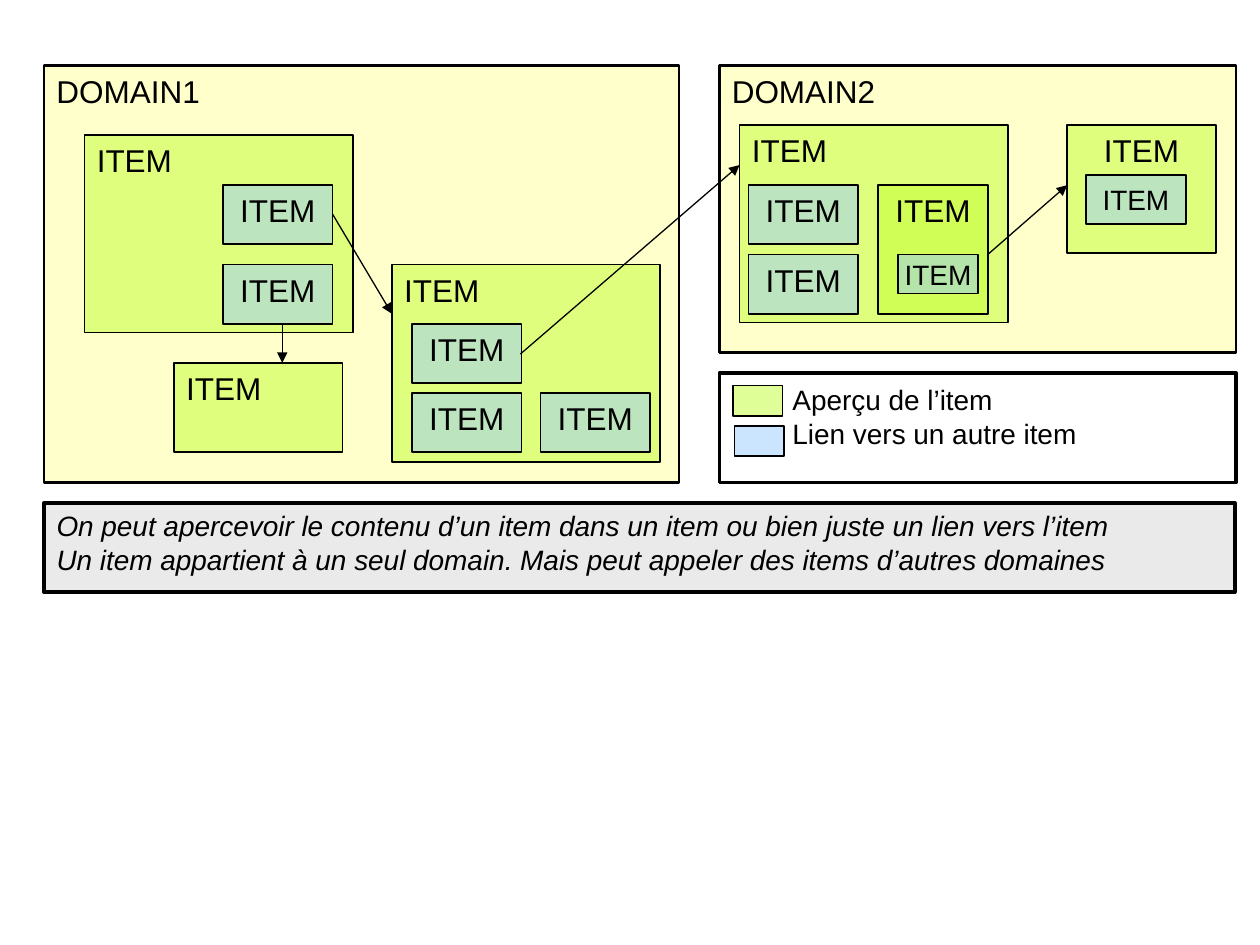
from pptx import Presentation
from pptx.dml.color import RGBColor
from pptx.enum.shapes import MSO_CONNECTOR as Connector, MSO_SHAPE as Shape
from pptx.enum.text import MSO_ANCHOR as Anchor, PP_ALIGN as Align
from pptx.oxml.ns import qn
from pptx.util import Inches, Pt
from lxml.etree import SubElement

COLORS = {
    "domain": "FFFF99",
    "item": "C3FE30",
    "link": "99CCFF",
    "legend": "FFFFFF",
    "note": "EAEAEA",
    "ink": "000000",
}


class DomainMap:
    """Draws domains, items and links on one slide in a shared style."""

    font_name = "Arial"

    def __init__(self, slide):
        self.slide = slide

    def color(self, key):
        return RGBColor.from_string(COLORS[key])

    def box(self, bounds, fill, line=1, opacity=50):
        box = self.slide.shapes.add_shape(Shape.RECTANGLE, *map(Inches, bounds))
        box.shadow.inherit = False
        box.fill.solid()
        box.fill.fore_color.rgb = self.color(fill)
        if opacity < 100:
            srgb = box._element.spPr.find(qn("a:solidFill")).find(qn("a:srgbClr"))
            SubElement(srgb, qn("a:alpha"), val=str(opacity * 1000))
        box.line.color.rgb = self.color("ink")
        box.line.width = Pt(line)
        return box

    def label(self, box, lines, size=18, align=Align.LEFT, anchor=Anchor.TOP,
              margins=(0.1, 0.05), italic=False):
        frame = box.text_frame
        frame.word_wrap = True
        frame.vertical_anchor = anchor
        frame.margin_left = frame.margin_right = Inches(margins[0])
        frame.margin_top = frame.margin_bottom = Inches(margins[1])
        frame.text = "\n".join(lines)
        for paragraph in frame.paragraphs:
            paragraph.alignment = align
            paragraph.font.name = self.font_name
            paragraph.font.size = Pt(size)
            paragraph.font.italic = italic
            paragraph.font.color.rgb = self.color("ink")

    def domain(self, name, bounds):
        self.label(self.box(bounds, "domain", line=1.5), [name])

    def item(self, left, top, width=2.13, height=1.57, align=Align.LEFT):
        self.label(self.box((left, top, width, height), "item"), ["ITEM"], align=align)

    def link(self, left, top):
        self.label(self.box((left, top, 0.87, 0.47), "link"), ["ITEM"], align=Align.CENTER)

    def small_link(self, *bounds):
        self.label(self.box(bounds, "link"), ["ITEM"], size=16, align=Align.CENTER,
                   anchor=Anchor.MIDDLE, margins=(0, 0))

    def panel(self, bounds, fill, lines, **style):
        self.label(self.box(bounds, fill, line=2, opacity=100), lines, size=16, **style)

    def swatch(self, left, top, fill):
        self.box((left, top, 0.39, 0.24), fill)

    def arrow(self, *ends):
        arrow = self.slide.shapes.add_connector(Connector.STRAIGHT, *map(Inches, ends))
        arrow.line.color.rgb = self.color("ink")
        arrow.line.width = Pt(0.75)
        properties = arrow._element.spPr
        SubElement(properties.find(qn("a:ln")), qn("a:tailEnd"), type="triangle")
        SubElement(properties, qn("a:effectLst"))


def main():
    deck = Presentation()
    deck.slide_width, deck.slide_height = Inches(10), Inches(7.5)
    chart = DomainMap(deck.slides.add_slide(deck.slide_layouts[6]))

    chart.domain("DOMAIN1", (0.35, 0.52, 5.04, 3.31))
    chart.item(0.67, 1.07)
    for top in (1.47, 2.1):
        chart.link(1.77, top)
    chart.item(3.11, 2.1)
    chart.arrow(2.64, 1.7, 3.11, 2.49)
    for left, top in ((3.27, 3.12), (3.27, 2.57), (4.29, 3.12)):
        chart.link(left, top)

    chart.domain("DOMAIN2", (5.71, 0.52, 4.1, 2.28))
    chart.item(5.87, 0.99)
    for top in (1.47, 2.02):
        chart.link(5.94, top)
    chart.item(6.97, 1.47, 0.87, 1.02, Align.CENTER)
    chart.arrow(4.13, 2.81, 5.87, 1.31)
    chart.small_link(7.13, 2.02, 0.63, 0.31)
    chart.item(8.47, 0.99, 1.18, 1.02, Align.CENTER)
    chart.small_link(8.62, 1.39, 0.79, 0.39)
    chart.arrow(7.84, 2.02, 8.47, 1.47)

    chart.panel((5.71, 2.96, 4.1, 0.87), "legend",
                ["Aperçu de l’item", "Lien vers un autre item"], margins=(0.58, 0.08))
    chart.swatch(5.82, 3.06, "item")
    chart.swatch(5.83, 3.38, "link")
    chart.panel((0.35, 3.99, 9.45, 0.71), "note", [
        "On peut apercevoir le contenu d’un item dans un item ou bien juste un lien vers l’item",
        "Un item appartient à un seul domain. Mais peut appeler des items d’autres domaines",
    ], italic=True)

    chart.item(1.38, 2.88, 1.34, 0.71)
    chart.arrow(2.24, 2.57, 2.24, 2.88)

    deck.save("out.pptx")


if __name__ == "__main__":
    main()
